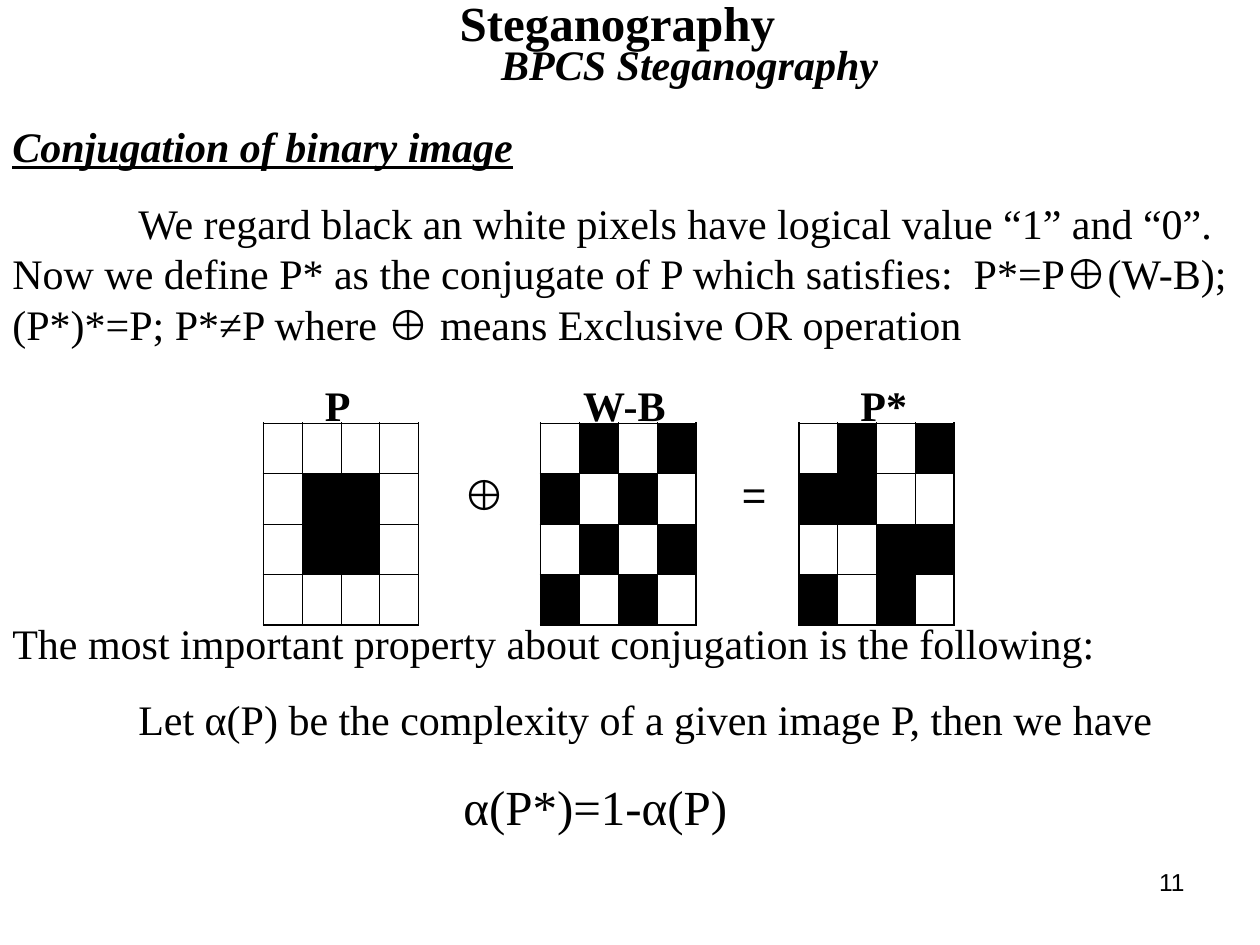
from collections import namedtuple

from lxml.etree import SubElement
from pptx import Presentation
from pptx.dml.color import RGBColor
from pptx.enum.text import PP_ALIGN as Align
from pptx.oxml.ns import qn
from pptx.util import Inches, Pt

# The slide is a grid of 100 columns by 75 rows.
WIDTH, HEIGHT = Inches(10), Inches(7.5)
COLUMN, ROW = WIDTH / 100, HEIGHT / 75
SERIF, SANS = "Times New Roman", "Arial"
BLACK, WHITE = "000000", "FFFFFF"
THIN, THICK = 0.45, 1.08
CELL_WIDTH, CELL_HEIGHT = 3.08, 3

Box = namedtuple("Box", "left top width height")

# Each pattern: label, left column, label inset, label width, pixels (# is black)
PATTERNS = [
    ("P", 0, 3.9, 5.5, ("....", ".##.", ".##.", "....")),
    ("W-B", 22, 2.4, 9.5, (".#.#", "#.#.", ".#.#", "#.#.")),
    ("P*", 42.5, 3.9, 7.9, (".#.#", "##..", "..##", "#.#.")),
]
# Each operator: sign, left column, width, bold
OPERATORS = [("⊕", 14.9, 7.1, True), ("=", 37, 7.9, False)]


def color(hex_string):
    return RGBColor.from_string(hex_string)


def place(box):
    return [int(length * unit) for length, unit in zip(box, (COLUMN, ROW) * 2)]


def add_frame(slide, box):
    frame = slide.shapes.add_textbox(*place(box)).text_frame
    frame.word_wrap = True
    return frame


def add_paragraph(frame, runs, align=Align.LEFT, margin=0, indent=0, before=15, spacing=None):
    """Add a paragraph of (text, size, font, bold, italic, underline) runs."""
    first = not frame.paragraphs[0].runs
    paragraph = frame.paragraphs[0] if first else frame.add_paragraph()
    properties = paragraph._p.get_or_add_pPr()
    properties.set("marL", str(int(margin * COLUMN)))
    properties.set("indent", str(int(indent * COLUMN)))
    paragraph.alignment = align
    paragraph.space_before = Pt(0 if first else before)
    if spacing:
        paragraph.line_spacing = spacing
    for text, size, name, bold, italic, underline in runs:
        run = paragraph.add_run()
        run.text = text
        font = run.font
        font.size, font.name = Pt(size), name
        font.bold, font.italic, font.underline = bold, italic, underline
        font.color.rgb = color(BLACK)


def styled(text, size=24, name=SERIF, bold=False, italic=False, underline=False):
    return text, size, name, bold, italic, underline


def add_title(slide, box):
    frame = add_frame(slide, box)
    add_paragraph(frame, [styled("Steganography", 28, bold=True)], margin=9.9, spacing=0.75)
    add_paragraph(frame, [styled("BPCS Steganography", bold=True, italic=True)],
                  margin=13.2, before=0, spacing=0.75)


def add_definition(slide, box):
    frame = add_frame(slide, box)
    heading = "Conjugation of binary image"
    add_paragraph(frame, [styled(heading, bold=True, italic=True, underline=True)])
    add_paragraph(frame, [
        styled("We regard black an white pixels have logical value “1” and “0”. Now we "
               "define P* as the conjugate of P which satisfies:  P*=P"),
        styled("⊕", name=SANS),
        styled("(W-B); (P*)*=P; P*≠P where "),
        styled("⊕", name=SANS),
        styled(" means Exclusive OR operation"),
    ], indent=10)


def set_border(cell, side, width):
    line = SubElement(cell._tc.get_or_add_tcPr(), qn(f"a:ln{side}"), w=str(Pt(width)))
    fill = SubElement(line, qn("a:solidFill"))
    SubElement(fill, qn("a:srgbClr"), val=BLACK)


def add_pixels(slide, box, pixels):
    count = len(pixels)
    table = slide.shapes.add_table(count, count, *place(box)).table
    table.first_row = table.horz_banding = False
    for row, line in enumerate(pixels):
        for column, pixel in enumerate(line):
            cell = table.cell(row, column)
            edges = {"L": column == 0, "R": column == count - 1,
                     "T": row == 0, "B": row == count - 1}
            for side, outer in edges.items():
                set_border(cell, side, THICK if outer else THIN)
            cell.fill.solid()
            cell.fill.fore_color.rgb = color(BLACK if pixel == "#" else WHITE)


def add_pattern_equation(slide, box):
    for label, left, inset, width, pixels in PATTERNS:
        left += box.left
        size = len(pixels)
        add_pixels(slide, Box(left, box.top + 4, size * CELL_WIDTH, size * CELL_HEIGHT), pixels)
        frame = add_frame(slide, Box(left + inset, box.top, width, 5))
        add_paragraph(frame, [styled(label, bold=True)])
    for sign, left, width, bold in OPERATORS:
        frame = add_frame(slide, Box(box.left + left, box.top + 7.1, width, 5))
        add_paragraph(frame, [styled(sign, name=SANS, bold=bold)])


def add_property(slide, box):
    frame = add_frame(slide, box)
    add_paragraph(frame, [styled("The most important property about conjugation is the following:")])
    add_paragraph(frame, [styled("Let α(P) be the complexity of a given image P, then we have")],
                  indent=10)


def add_formula(slide, box):
    add_paragraph(add_frame(slide, box), [styled("α(P*)=1-α(P)", 28)])


def add_page_number(slide, box):
    add_paragraph(add_frame(slide, box), [styled("11", 14, SANS)], align=Align.RIGHT)


def main():
    presentation = Presentation()
    presentation.slide_width, presentation.slide_height = WIDTH, HEIGHT
    slide = presentation.slides.add_slide(presentation.slide_layouts[6])
    add_title(slide, Box(25.6, 0, 53.3, 7.5))
    add_definition(slide, Box(0, 9.1, 100, 19.1))
    add_pattern_equation(slide, Box(20.9, 29.6, 54.8, 16))
    add_property(slide, Box(0, 48.5, 100, 11.1))
    add_formula(slide, Box(35.8, 61.1, 28.3, 5.7))
    add_page_number(slide, Box(71.7, 68.3, 23.3, 5.2))
    presentation.save("out.pptx")


if __name__ == "__main__":
    main()
